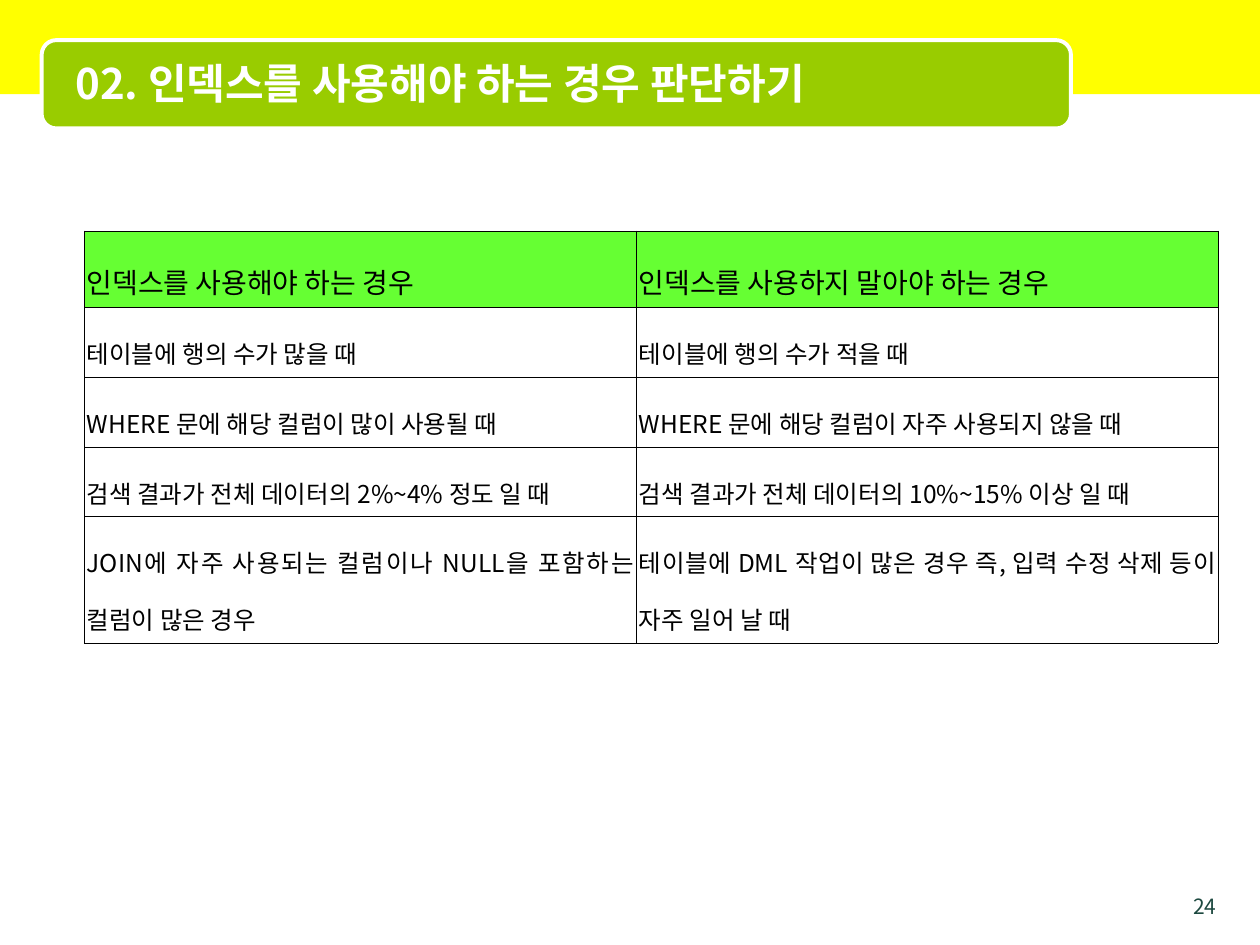
"""Build a slide comparing when to use an index and when not to."""
from lxml import etree
from pptx import Presentation
from pptx.dml.color import RGBColor
from pptx.enum.shapes import MSO_SHAPE
from pptx.enum.text import MSO_ANCHOR, PP_ALIGN
from pptx.oxml.ns import qn
from pptx.util import Cm, Pt

RECTANGLE, ROUNDED = MSO_SHAPE.RECTANGLE, MSO_SHAPE.ROUNDED_RECTANGLE
TOP, MIDDLE = MSO_ANCHOR.TOP, MSO_ANCHOR.MIDDLE
LEFT, RIGHT, JUSTIFY = PP_ALIGN.LEFT, PP_ALIGN.RIGHT, PP_ALIGN.JUSTIFY

YELLOW = RGBColor(0xFF, 0xFF, 0x00)
LIME = RGBColor(0x99, 0xCC, 0x00)
GREEN = RGBColor(0x66, 0xFF, 0x33)
DARK_GREEN = RGBColor(0x1D, 0x49, 0x40)
WHITE = RGBColor(0xFF, 0xFF, 0xFF)
BLACK = RGBColor(0x00, 0x00, 0x00)

FONT = "Noto Sans CJK KR"
COLUMN_WIDTHS = (11.13, 11.73)
ROW_HEIGHTS = (1.54, 1.41, 1.41, 1.4, 2.56)
CASES = (
    ("인덱스를 사용해야 하는 경우", "인덱스를 사용하지 말아야 하는 경우"),
    ("테이블에 행의 수가 많을 때", "테이블에 행의 수가 적을 때"),
    ("WHERE 문에 해당 컬럼이 많이 사용될 때",
     "WHERE 문에 해당 컬럼이 자주 사용되지 않을 때"),
    ("검색 결과가 전체 데이터의 2%~4% 정도 일 때",
     "검색 결과가 전체 데이터의 10%~15% 이상 일 때"),
    ("JOIN에 자주 사용되는 컬럼이나 NULL을 포함하는 컬럼이 많은 경우",
     "테이블에 DML 작업이 많은 경우 즉, 입력 수정 삭제 등이 자주 일어 날 때"),
)


def set_values(target, values):
    """Set each named attribute on the target."""
    for name, value in values.items():
        setattr(target, name, value)


def write_text(frame, text, size, color, bold=False, **para_values):
    """Write one formatted, unkerned paragraph into a text frame."""
    para = frame.paragraphs[0]
    set_values(para, para_values)
    span = para.add_run()
    span.text = text
    set_values(span.font, {"name": FONT, "size": Pt(size), "bold": bold})
    span.font.color.rgb = color
    properties = span.font._element
    properties.set("kern", "0")
    etree.SubElement(properties, qn("a:ea"), typeface=FONT)


def add_panel(page, kind, bounds, color, outline=None):
    """Add a filled shape, with an outline if a colour is given."""
    panel = page.shapes.add_shape(kind, *map(Cm, bounds))
    panel.shadow.inherit = False
    panel.fill.solid()
    panel.fill.fore_color.rgb = color
    if outline is None:
        panel.line.fill.background()
    else:
        panel.line.color.rgb = outline
        panel.line.width = Pt(2.25)


def add_label(page, bounds, anchor, text, size, color, **text_values):
    """Add a wrapping text box with one paragraph."""
    box = page.shapes.add_textbox(*map(Cm, bounds))
    set_values(box.text_frame, {"word_wrap": True, "vertical_anchor": anchor})
    write_text(box.text_frame, text, size, color, **text_values)


def add_borders(cell):
    """Draw a thin black line on all four sides of a cell."""
    properties = cell._tc.get_or_add_tcPr()
    for side in ("a:lnL", "a:lnR", "a:lnT", "a:lnB"):
        line = etree.SubElement(properties, qn(side), w=str(Pt(0.11)))
        fill = etree.SubElement(line, qn("a:solidFill"))
        etree.SubElement(fill, qn("a:srgbClr"), val=str(BLACK))


def format_cell(cell, text, is_header):
    """Fill in one cell of the comparison table."""
    set_values(cell, {"margin_left": Cm(0.05), "margin_right": Cm(0.05),
                      "vertical_anchor": TOP})
    add_borders(cell)
    if is_header:
        cell.fill.solid()
        cell.fill.fore_color.rgb = GREEN
    else:
        cell.fill.background()
    write_text(cell.text_frame, text, 16 if is_header else 14, BLACK,
               alignment=JUSTIFY, line_spacing=1.6)


def add_case_table(page, left, top):
    """Add the table of cases for and against an index."""
    frame = page.shapes.add_table(
        len(ROW_HEIGHTS), len(COLUMN_WIDTHS), Cm(left), Cm(top),
        Cm(sum(COLUMN_WIDTHS)), Cm(sum(ROW_HEIGHTS)))
    table = frame.table
    set_values(table, {"first_row": False, "horz_banding": False})
    for column, width in zip(table.columns, COLUMN_WIDTHS):
        column.width = Cm(width)
    for index, (row, height) in enumerate(zip(table.rows, ROW_HEIGHTS)):
        row.height = Cm(height)
        for cell, text in zip(row.cells, CASES[index]):
            format_cell(cell, text, index == 0)


def main():
    """Build and save the deck."""
    deck = Presentation()
    set_values(deck, {"slide_width": Cm(25.4), "slide_height": Cm(19.05)})
    page = deck.slides.add_slide(deck.slide_layouts[6])
    add_panel(page, RECTANGLE, (0, 0, 25.43, 1.9), YELLOW)
    add_panel(page, ROUNDED, (0.84, 0.81, 20.75, 1.78), LIME, WHITE)
    add_label(page, (23.5, 17.88, 1.27, 0.53), TOP, "24", 12, DARK_GREEN,
              alignment=RIGHT)
    add_label(page, (1.27, 0.89, 20.12, 1.57), MIDDLE,
              "02. 인덱스를 사용해야 하는 경우 판단하기", 24, WHITE,
              bold=True, alignment=LEFT)
    add_case_table(page, 1.7, 4.65)
    deck.save("out.pptx")


if __name__ == "__main__":
    main()
